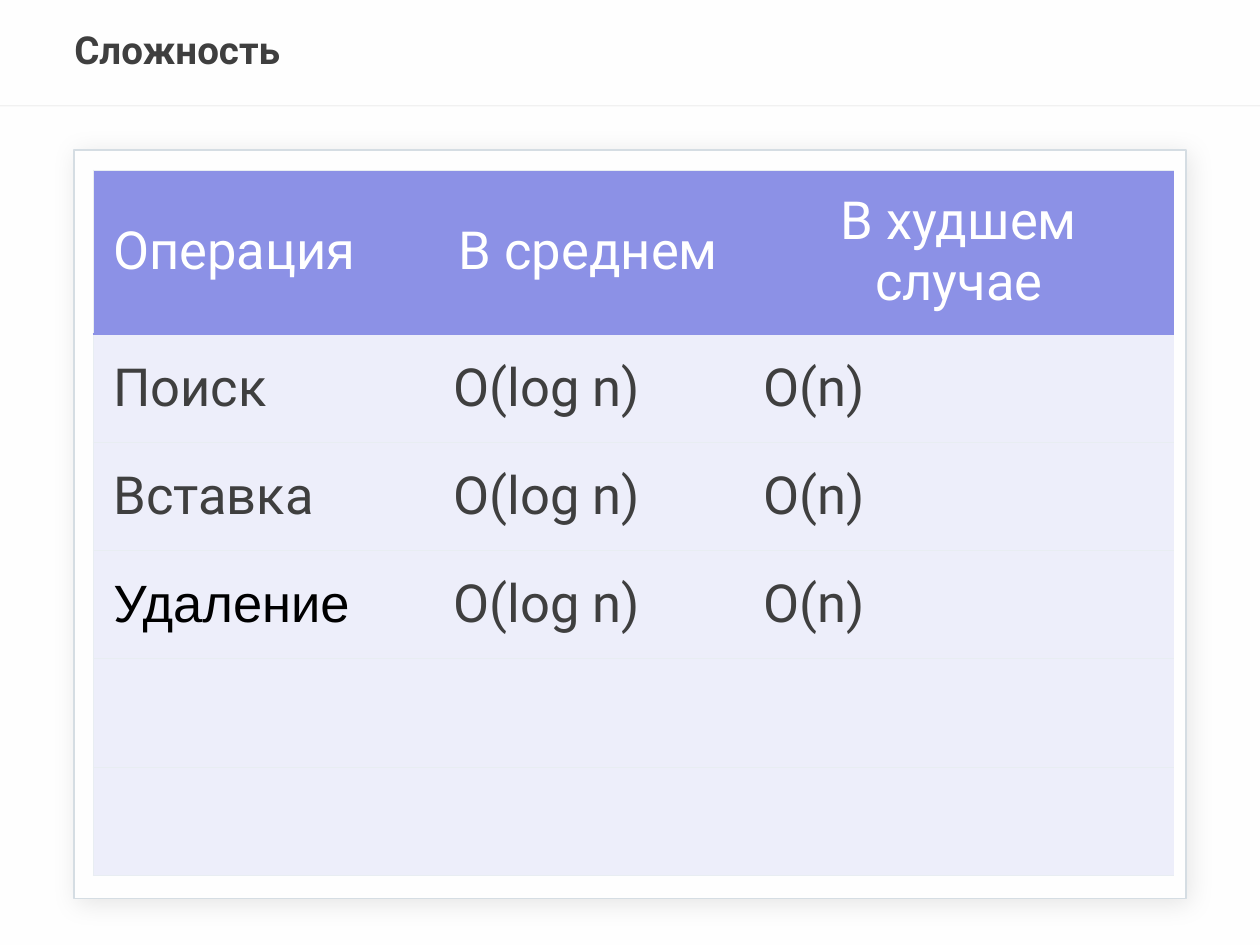
from dataclasses import dataclass

from lxml import etree
from pptx import Presentation
from pptx.dml.color import RGBColor
from pptx.enum.shapes import MSO_CONNECTOR, MSO_SHAPE
from pptx.enum.text import MSO_ANCHOR, PP_ALIGN
from pptx.oxml.ns import qn
from pptx.util import Inches, Pt

RECT, ROUNDED = MSO_SHAPE.RECTANGLE, MSO_SHAPE.ROUNDED_RECTANGLE
STRAIGHT = MSO_CONNECTOR.STRAIGHT
MIDDLE = MSO_ANCHOR.MIDDLE
LEFT, CENTER = PP_ALIGN.LEFT, PP_ALIGN.CENTER


@dataclass(frozen=True)
class Theme:
    paper: str = "FEFEFE"
    white: str = "FFFFFF"
    ink: str = "3F3F3F"
    black: str = "000000"
    rule: str = "7F7F7F"
    frame: str = "D5DDE3"
    accent: str = "8C91E6"
    body: str = "EDEEFA"
    grid: str = "E8EDF2"
    font: str = "Roboto"
    alt_font: str = "Arial"
    title_size: int = 22
    table_size: int = 30


T = Theme()
HEADERS = ["Операция", "В среднем", "В худшем случае"]
OPERATIONS = ["Поиск", "Вставка", "Удаление"]
COSTS = ["O(log n)", "O(n)"]
ROWS = [HEADERS] + [[name, *COSTS] for name in OPERATIONS] + [[""] * 3] * 2
COL_WIDTHS = [2.7, 2.46, 3.42]
ROW_HEIGHTS = [1.3] + [0.86] * 5


def rgb(color):
    return RGBColor.from_string(color)


def set_alpha(fill_format, percent):
    color = fill_format._xPr.find(qn("a:solidFill"))[0]
    etree.SubElement(color, qn("a:alpha"), val=str(percent * 1000))


def set_font(p, size, color, name=T.font, bold=False):
    p.font.size, p.font.name, p.font.bold = Pt(size), name, bold
    p.font.color.rgb = rgb(color)


def add_box(s, kind, x, y, w, h, fill):
    sp = s.shapes.add_shape(kind, Inches(x), Inches(y), Inches(w), Inches(h))
    sp.shadow.inherit = False
    sp.fill.solid()
    sp.fill.fore_color.rgb = rgb(fill)
    return sp


def add_header(s, x, y, w, h):
    band = add_box(s, RECT, x, y, w, h, T.white)
    band.line.fill.background()
    set_alpha(band.fill, 50)

    rule = s.shapes.add_connector(
        STRAIGHT, Inches(x), Inches(y + h), Inches(x + w), Inches(y + h))
    rule.line.width = Pt(0.75)
    rule.line.color.rgb = rgb(T.rule)
    set_alpha(rule.line.fill, 10)
    etree.SubElement(rule._element.spPr, qn("a:effectLst"))


def add_title(s, x, y, w, h, text):
    tf = s.shapes.add_textbox(Inches(x), Inches(y), Inches(w), Inches(h)).text_frame
    tf.word_wrap = True
    tf.vertical_anchor = MIDDLE
    tf.margin_left = tf.margin_right = tf.margin_top = tf.margin_bottom = 0
    p = tf.paragraphs[0]
    p.text = text
    p.line_spacing = 0.8
    set_font(p, T.title_size, T.ink, bold=True)


def add_panel(s, x, y, w, h):
    sp = add_box(s, ROUNDED, x, y, w, h, T.paper)
    sp.adjustments[0] = 0
    sp.line.color.rgb = rgb(T.frame)
    sp.line.width = Pt(1)
    effects = sp._element.spPr.find(qn("a:effectLst"))
    shadow = etree.SubElement(
        effects, qn("a:outerShdw"), blurRad=str(Pt(15)), dist=str(Pt(3)),
        dir=str(45 * 60000), algn="tl", rotWithShape="0")
    color = etree.SubElement(shadow, qn("a:srgbClr"), val=T.black)
    etree.SubElement(color, qn("a:alpha"), val="10000")


def set_border(cell, side, color=None, width=0.75):
    tc_pr = cell._tc.get_or_add_tcPr()
    ln = etree.SubElement(tc_pr, qn(f"a:ln{side}"), w=str(Pt(width)))
    if color:
        fill = etree.SubElement(ln, qn("a:solidFill"))
        etree.SubElement(fill, qn("a:srgbClr"), val=color)
    else:
        etree.SubElement(ln, qn("a:noFill"))


def style_cell(cell, row, col, text):
    heavy, light = (T.accent, 1.5), (T.grid, 0.75)
    set_border(cell, "L", T.grid if col == 0 else None)
    set_border(cell, "R")
    set_border(cell, "T", *(heavy if row == 1 else light))
    set_border(cell, "B", *(heavy if row == 0 else light))
    cell.fill.solid()
    cell.fill.fore_color.rgb = rgb(T.accent if row == 0 else T.body)
    cell.vertical_anchor = MIDDLE
    cell.margin_left = cell.margin_right = Inches(0.16)
    cell.margin_top = cell.margin_bottom = 0
    if not text:
        return
    cell.text = text
    p = cell.text_frame.paragraphs[0]
    p.alignment = CENTER if row == 0 and col > 0 else LEFT
    if text == OPERATIONS[-1]:
        set_font(p, T.table_size, T.black, T.alt_font)
    else:
        set_font(p, T.table_size, T.white if row == 0 else T.ink)


def add_complexity_table(s, x, y):
    table = s.shapes.add_table(
        len(ROWS), len(COL_WIDTHS), Inches(x), Inches(y),
        Inches(sum(COL_WIDTHS)), Inches(sum(ROW_HEIGHTS))).table
    table.first_row = table.horz_banding = False
    for column, width in zip(table.columns, COL_WIDTHS):
        column.width = Inches(width)
    for row, height in zip(table.rows, ROW_HEIGHTS):
        row.height = Inches(height)
    for i, values in enumerate(ROWS):
        for j, text in enumerate(values):
            style_cell(table.cell(i, j), i, j, text)


def main():
    prs = Presentation()
    prs.slide_width, prs.slide_height = Inches(10), Inches(7.5)
    s = prs.slides.add_slide(prs.slide_layouts[6])
    s.background.fill.solid()
    s.background.fill.fore_color.rgb = rgb(T.paper)
    add_header(s, 0, 0, 10, 0.84)
    add_panel(s, 0.59, 1.19, 8.82, 5.94)
    add_title(s, 0.59, 0.26, 7.24, 0.33, "Сложность")
    add_complexity_table(s, 0.74, 1.35)
    prs.save("out.pptx")


if __name__ == "__main__":
    main()
